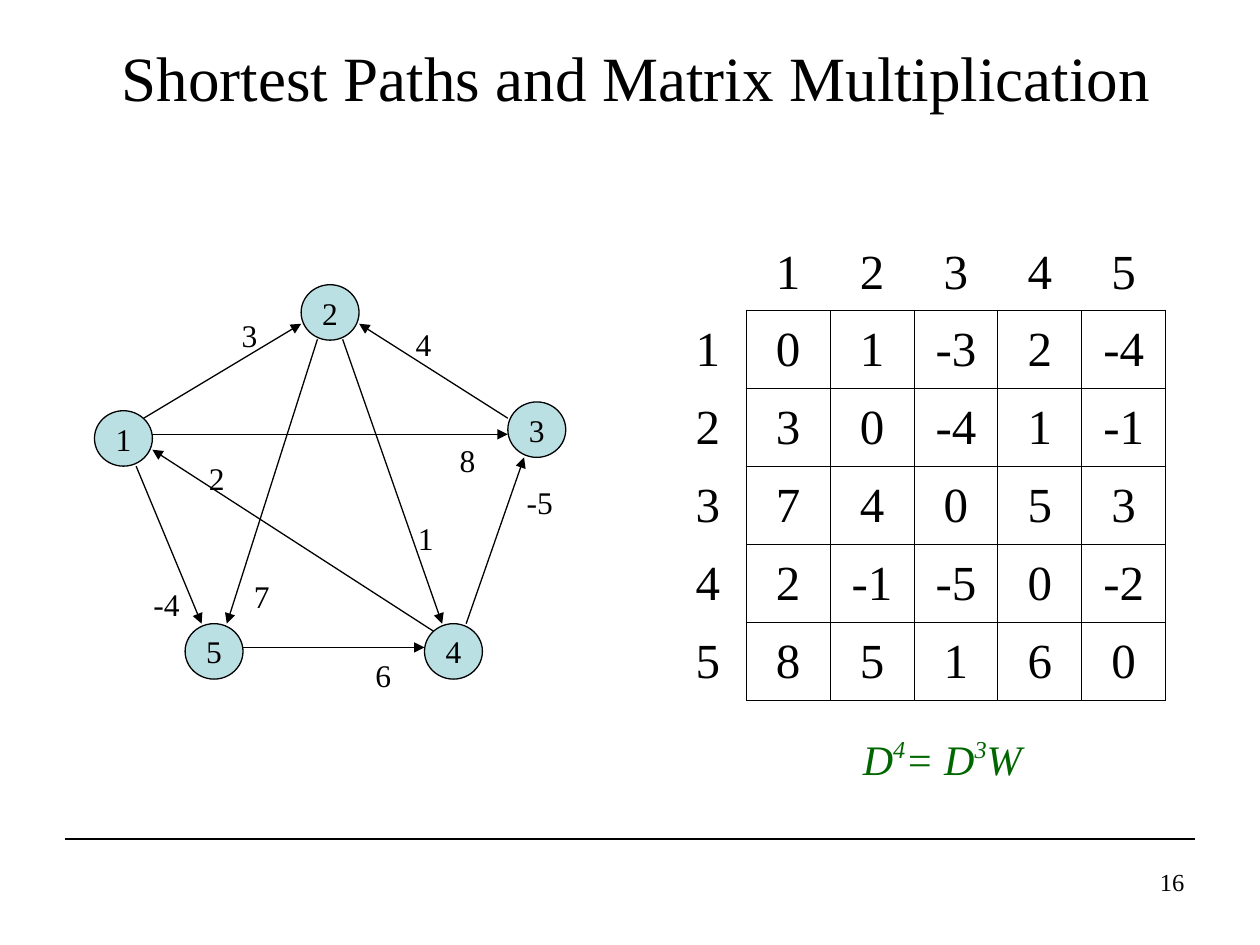
from lxml.etree import SubElement
from pptx import Presentation
from pptx.dml.color import RGBColor
from pptx.enum.shapes import MSO_CONNECTOR as Conn, MSO_SHAPE as Shape
from pptx.enum.text import MSO_ANCHOR as Anchor, MSO_AUTO_SIZE as Auto, PP_ALIGN as Align
from pptx.oxml.ns import qn
from pptx.util import Pt

TITLE = "Shortest Paths and Matrix Multiplication"
FORMULA = [("D", 0), ("4", 40000), ("= D", 0), ("3", 40000), ("W", 0)]
PAGE = "16"
FONT, BLACK, GREEN, NODE_FILL = "Times New Roman", "000000", "006600", "BBE0E3"
NO_GRID = "{2D5ABB26-0587-4C30-8999-92F81FD0307C}"

NODE_W, NODE_H = 33.1, 31.7
NODES = {"1": (54, 234.7), "2": (172.1, 162.7), "3": (290.2, 229.7),
         "4": (242.6, 356.4), "5": (105.8, 356.4)}
EDGES = [
    ("3", (131, 177.1), (82.1, 239), (172.1, 185)),
    ("4", (230.4, 182.2), (290.2, 239), (205.2, 185)),
    ("-5", (293.8, 272.2), (266.4, 356.4), (299.5, 261.4)),
    ("6", (207.4, 371.5), (139, 370), (242.6, 370)),
    ("-4", (80.6, 330.5), (77.8, 266.4), (115.2, 356.4)),
    ("7", (138, 326.2), (181.4, 193.9), (129.6, 356.4)),
    ("1", (231.8, 293), (195.8, 193.9), (252.7, 356.4)),
    ("2", (112.3, 258.5), (247.7, 360.7), (87.1, 257)),
    ("8", (255.6, 248.4), (87.1, 248.2), (290.2, 248.2)),
]
MATRIX = [
    ["", 1, 2, 3, 4, 5],
    [1, 0, 1, -3, 2, -4],
    [2, 3, 0, -4, 1, -1],
    [3, 7, 4, 0, 5, 3],
    [4, 2, -1, -5, 0, -2],
    [5, 8, 5, 1, 6, 0],
]
COLS = [43.9] + [47.95] * 5
ROWS = [43.8] + [44.55] * 5


def rgb(color):
    return RGBColor.from_string(color)


def box(*lengths):
    return [Pt(v) for v in lengths]


def apply(obj, **values):
    for name, value in values.items():
        setattr(obj, name, value)


def write(p, text, size, color=BLACK, italic=False):
    r = p.add_run()
    r.text = text
    apply(r.font, name=FONT, size=Pt(size), italic=italic)
    r.font.color.rgb = rgb(color)
    return r


def text_box(shapes, at, wrap=True):
    tf = shapes.add_textbox(*box(*at)).text_frame
    apply(tf, word_wrap=wrap, auto_size=Auto.NONE)
    return tf.paragraphs[0]


def add_line(shapes, start, end, arrow=False):
    line = shapes.add_connector(Conn.STRAIGHT, *box(*start, *end))
    line.line.width = Pt(0.74)
    line.line.color.rgb = rgb(BLACK)
    if arrow:
        SubElement(line.line._get_or_add_ln(), qn("a:tailEnd"), type="triangle")
    SubElement(line._element.spPr, qn("a:effectLst"))


def add_border(cell):
    tc_pr = cell._tc.get_or_add_tcPr()
    for side in ("L", "R", "T", "B"):
        ln = SubElement(tc_pr, qn("a:ln" + side), w=str(Pt(0.45)))
        SubElement(SubElement(ln, qn("a:solidFill")), qn("a:srgbClr"), val=BLACK)


prs = Presentation()
apply(prs, slide_width=Pt(720), slide_height=Pt(540))
s = prs.slides.add_slide(prs.slide_layouts[5])

add_line(s.shapes, (36.9, 479.5), (683.1, 479.5))

title = s.shapes.title
apply(title, left=Pt(39.5), top=Pt(21.6), width=Pt(648), height=Pt(43.9))
tf = title.text_frame
apply(tf, word_wrap=True, auto_size=Auto.NONE, vertical_anchor=Anchor.MIDDLE)
p = tf.paragraphs[0]
p.alignment = Align.CENTER
write(p, TITLE, 36)

tbl = s.shapes.add_table(6, 6, *box(382.5, 133.8, sum(COLS), sum(ROWS))).table
apply(tbl, first_row=False, horz_banding=False)
tbl._tbl.tblPr.find(qn("a:tableStyleId")).text = NO_GRID
for col, width in zip(tbl.columns, COLS):
    col.width = Pt(width)
for row, height in zip(tbl.rows, ROWS):
    row.height = Pt(height)
for i, values in enumerate(MATRIX):
    for j, value in enumerate(values):
        cell = tbl.cell(i, j)
        cell.vertical_anchor = Anchor.MIDDLE
        if i and j:
            add_border(cell)
        cell.fill.background()
        if value != "":
            p = cell.text_frame.paragraphs[0]
            apply(p, alignment=Align.CENTER, space_before=Pt(7))
            write(p, str(value), 28)

p = text_box(s.shapes, (486, 415.4, 110.9, 36))
for text, baseline in FORMULA:
    r = write(p, text, 24, GREEN, True)
    if baseline:
        r._r.get_or_add_rPr().set("baseline", str(baseline))

graph = s.shapes.add_group_shape().shapes
for name, (x, y) in NODES.items():
    sp = graph.add_shape(Shape.OVAL, *box(x, y, NODE_W, NODE_H))
    sp.shadow.inherit = False
    sp.fill.solid()
    sp.fill.fore_color.rgb = rgb(NODE_FILL)
    sp.line.color.rgb = rgb(BLACK)
    sp.line.width = Pt(0.74)
    tf = sp.text_frame
    apply(tf, word_wrap=False, vertical_anchor=Anchor.MIDDLE)
    p = tf.paragraphs[0]
    p.alignment = Align.CENTER
    write(p, name, 18)
for weight, (x, y), start, end in EDGES:
    add_line(graph, start, end, arrow=True)
    width = 29.4 if len(weight) > 1 else 23.4
    write(text_box(graph, (x, y, width, 28.8), wrap=False), weight, 18)

p = text_box(s.shapes, (516.2, 491.8, 167.8, 37.4))
p.alignment = Align.RIGHT
write(p, PAGE, 14)

prs.save("out.pptx")
